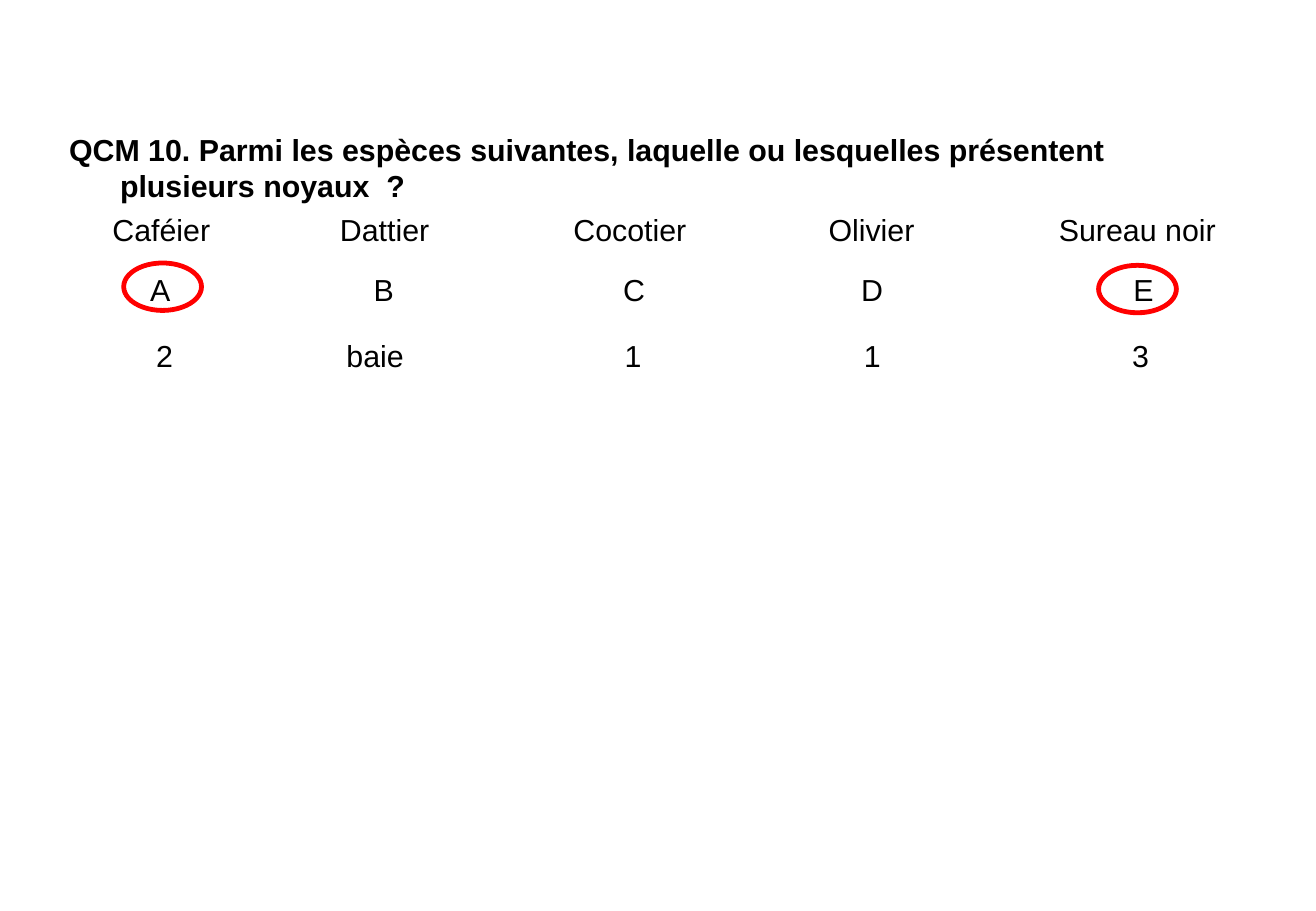
from dataclasses import dataclass

from lxml.etree import SubElement
from pptx import Presentation
from pptx.dml.color import RGBColor
from pptx.enum.shapes import MSO_SHAPE
from pptx.enum.text import MSO_AUTO_SIZE, PP_ALIGN
from pptx.oxml.ns import qn
from pptx.slide import Slide
from pptx.text.text import _Paragraph
from pptx.util import Emu, Inches, Pt

SLIDE_WIDTH, SLIDE_HEIGHT = Inches(10.84), Inches(7.5)
BLACK, RED = "000000", "FF0000"
TEXT_FORMAT = {"name": "Arial", "size": Pt(18)}
QUESTION_SPACING = {"space_before": Pt(3), "space_after": Pt(3)}
QUESTION = "QCM 10. Parmi les espèces suivantes, laquelle ou lesquelles présentent plusieurs noyaux  ?"
HANGING_INDENT = Inches(0.42)
SIDE_INSET = Inches(0.1)
SPECIES_TOP, LETTER_TOP, COUNT_TOP = 22.53, 29.07, 36.4
ROW_HEIGHT = 5.33
LETTER_WIDTH, COUNT_WIDTH = 3.41, 3.6
RING_WIDTH, RING_HEIGHT = 6.18, 5.6


@dataclass(frozen=True)
class Choice:
    species: str
    letter: str
    count: str
    species_centre: float
    letter_centre: float
    count_centre: float
    count_width: float = COUNT_WIDTH


@dataclass(frozen=True)
class Ring:
    centre: float
    top: float


@dataclass(frozen=True)
class Area:
    left: float
    top: float
    width: float
    height: float = ROW_HEIGHT

    def lengths(self) -> tuple[Emu, Emu, Emu, Emu]:
        return (across(self.left), down(self.top),
                across(self.width), down(self.height))


CHOICES = [
    Choice("Caféier", "A", "2", 12.27, 12.18, 12.5),
    Choice("Dattier", "B", "baie", 29.24, 29.15, 28.51, 9.41),
    Choice("Cocotier", "C", "1", 47.88, 48.15, 48.11),
    Choice("Olivier", "D", "1", 66.24, 66.24, 66.28),
    Choice("Sureau noir", "E", "3", 86.44, 86.9, 86.67),
]
RIGHT_ANSWERS = [Ring(12.36, 28.67), Ring(86.44, 28.93)]


def across(percent: float) -> Emu:
    return Emu(round(SLIDE_WIDTH * percent / 100))


def down(percent: float) -> Emu:
    return Emu(round(SLIDE_HEIGHT * percent / 100))


def colour(code: str) -> RGBColor:
    return RGBColor.from_string(code)


def centred(centre: float, top: float, width: float,
            height: float = ROW_HEIGHT) -> Area:
    return Area(centre - width / 2, top, width, height)


def add_text(slide: Slide, text: str, area: Area, wrap: bool = True,
             bold: bool = False, grow: bool = True,
             alignment: PP_ALIGN = PP_ALIGN.CENTER) -> _Paragraph:
    frame = slide.shapes.add_textbox(*area.lengths()).text_frame
    frame.word_wrap = wrap
    frame.auto_size = MSO_AUTO_SIZE.SHAPE_TO_FIT_TEXT if grow else MSO_AUTO_SIZE.NONE
    paragraph = frame.paragraphs[0]
    paragraph.alignment = alignment
    run = paragraph.add_run()
    run.text = text
    for attribute, value in {**TEXT_FORMAT, "bold": bold}.items():
        setattr(run.font, attribute, value)
    run.font.color.rgb = colour(BLACK)
    return paragraph


def add_question(slide: Slide) -> None:
    question = add_text(slide, QUESTION, Area(4.34, 13.73, 90.68, 9.07),
                        bold=True, grow=False, alignment=PP_ALIGN.LEFT)
    for attribute, value in QUESTION_SPACING.items():
        setattr(question, attribute, value)
    properties = question._p.get_or_add_pPr()
    properties.set("marL", str(HANGING_INDENT))
    properties.set("indent", str(-HANGING_INDENT))


def add_species(slide: Slide) -> None:
    names = "".join(f"\t{choice.species}" for choice in CHOICES)
    line = add_text(slide, names, Area(0, SPECIES_TOP, 98.8),
                    alignment=PP_ALIGN.LEFT)
    stops = SubElement(line._p.get_or_add_pPr(), qn("a:tabLst"))
    for choice in CHOICES:
        position = across(choice.species_centre) - SIDE_INSET
        SubElement(stops, qn("a:tab"), pos=str(position), algn="ctr")


def add_ring(slide: Slide, ring: Ring) -> None:
    area = centred(ring.centre, ring.top, RING_WIDTH, RING_HEIGHT)
    donut = slide.shapes.add_shape(MSO_SHAPE.DONUT, *area.lengths())
    donut.adjustments[0] = 0.07
    donut.shadow.inherit = False
    donut.fill.solid()
    donut.fill.fore_color.rgb = colour(RED)
    donut.line.color.rgb = colour(RED)
    donut.line.width = Pt(0.75)


def main() -> None:
    presentation = Presentation()
    presentation.slide_width = SLIDE_WIDTH
    presentation.slide_height = SLIDE_HEIGHT
    slide = presentation.slides.add_slide(presentation.slide_layouts[6])
    add_question(slide)
    add_species(slide)
    for choice in CHOICES:
        add_text(slide, choice.letter,
                 centred(choice.letter_centre, LETTER_TOP, LETTER_WIDTH), wrap=False)
        add_text(slide, choice.count,
                 centred(choice.count_centre, COUNT_TOP, choice.count_width))
    for ring in RIGHT_ANSWERS:
        add_ring(slide, ring)
    presentation.save("out.pptx")


if __name__ == "__main__":
    main()
